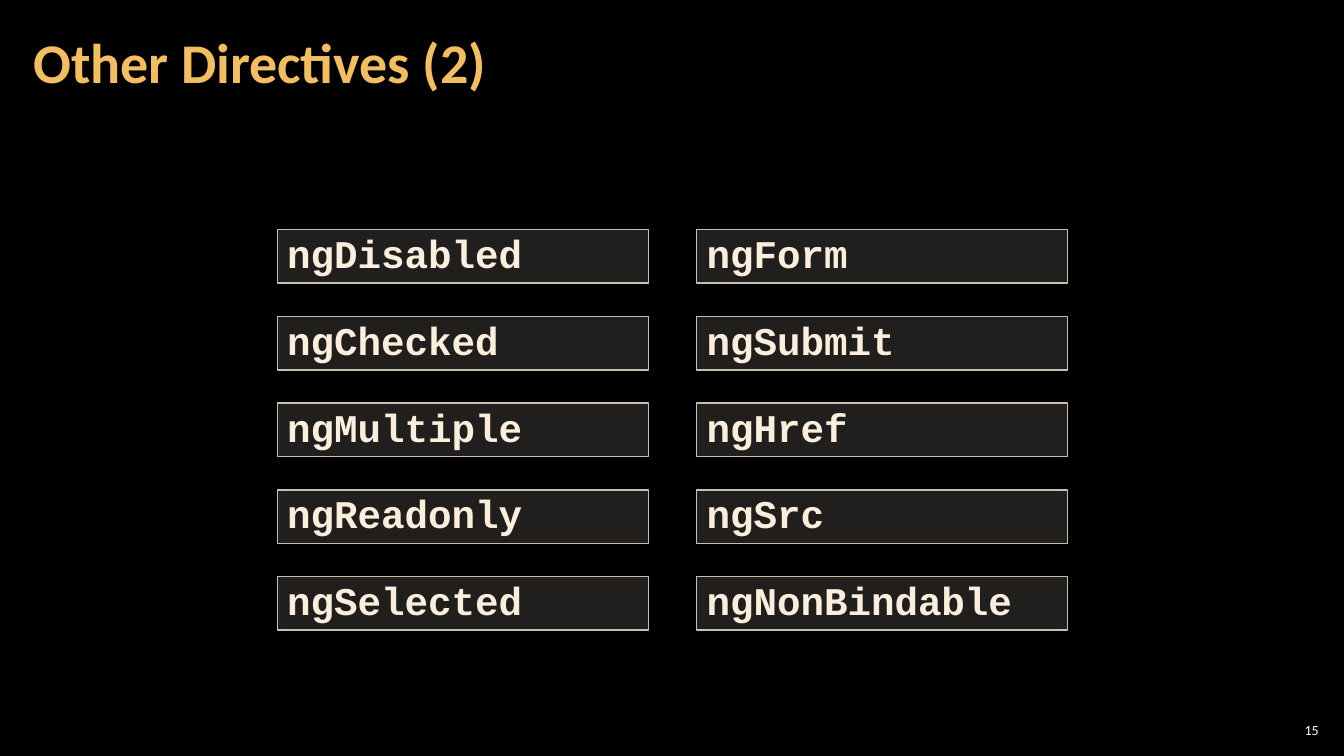
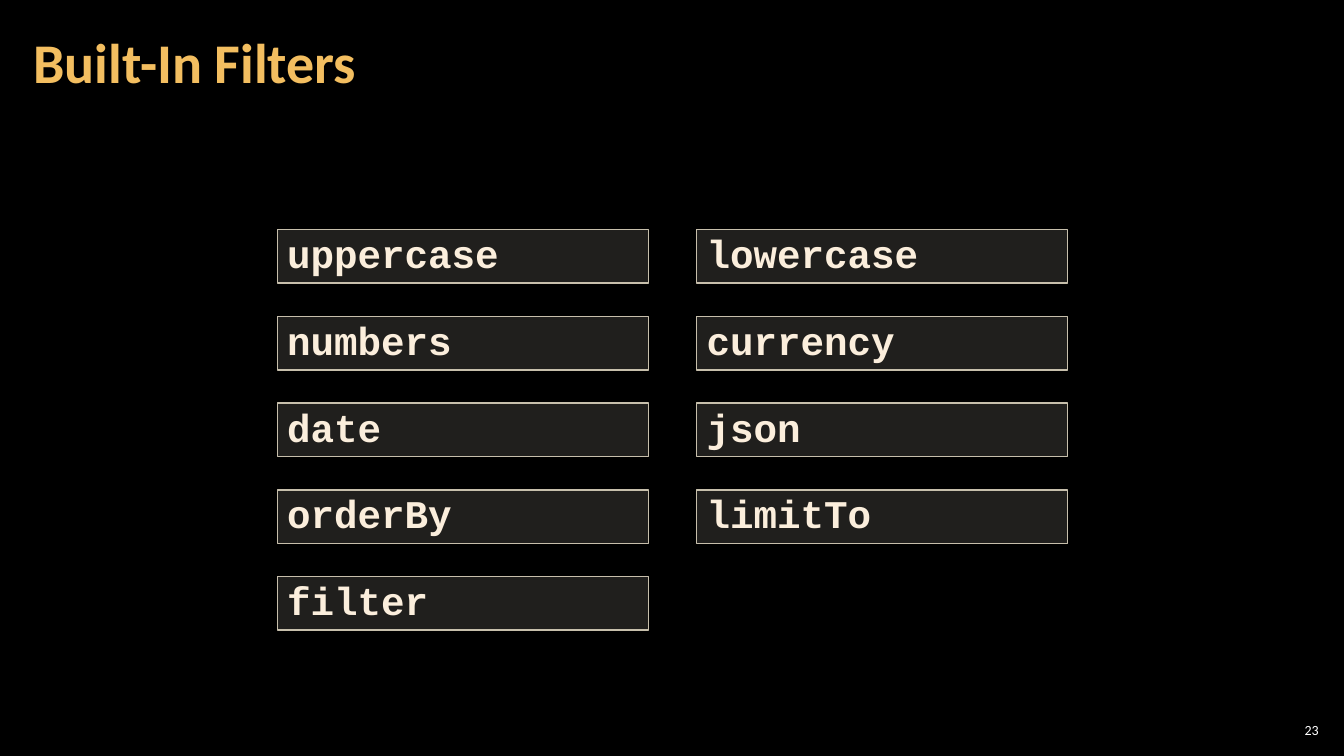
from dataclasses import dataclass

from lxml.etree import SubElement
from pptx import Presentation
from pptx.dml.color import RGBColor
from pptx.enum.shapes import MSO_SHAPE
from pptx.enum.text import MSO_ANCHOR, MSO_AUTO_SIZE, PP_ALIGN
from pptx.oxml.ns import qn
from pptx.util import Inches, Pt

COLORS = {
    "background": "000000",
    "title": "F3BE60",
    "page_number": "FFFFFF",
    "box_fill": "D9D5C7",
    "box_line": "C7BFAC",
    "box_text": "FBEEDC",
}
BOX_OPACITY = 15
BOX_WIDTH, BOX_HEIGHT = 3.68, 0.53
GRID_LEFT, GRID_TOP = 2.75, 2.28
COLUMN_PITCH, ROW_PITCH = 4.16, 0.86


@dataclass(frozen=True)
class KeywordSlide:
    title: str
    page_number: int
    columns: tuple[tuple[str, ...], ...]


SLIDES = (
    KeywordSlide(
        "Other Directives (2)",
        15,
        (
            ("ngDisabled", "ngChecked", "ngMultiple", "ngReadonly", "ngSelected"),
            ("ngForm", "ngSubmit", "ngHref", "ngSrc", "ngNonBindable"),
        ),
    ),
    KeywordSlide(
        "Built-In Filters",
        23,
        (
            ("uppercase", "numbers", "date", "orderBy", "filter"),
            ("lowercase", "currency", "json", "limitTo"),
        ),
    ),
)


def rgb(name: str) -> RGBColor:
    return RGBColor.from_string(COLORS[name])


def write_text(
    shape,
    text: str,
    *,
    size: float,
    color: str,
    font: str = "Calibri",
    bold: bool = False,
    align=PP_ALIGN.LEFT,
    anchor=MSO_ANCHOR.MIDDLE,
    side_inset: float = 0.1,
    end_inset: float = 0.05,
    line_spacing: float = 1.0,
    space_before: float = 0,
    auto_size=MSO_AUTO_SIZE.NONE,
) -> None:
    frame = shape.text_frame
    frame.word_wrap = True
    frame.auto_size = auto_size
    frame.vertical_anchor = anchor
    frame.margin_left = frame.margin_right = Inches(side_inset)
    frame.margin_top = frame.margin_bottom = Inches(end_inset)
    paragraph = frame.paragraphs[0]
    paragraph.alignment = align
    paragraph.line_spacing = line_spacing
    paragraph.space_before = Pt(space_before)
    run = paragraph.add_run()
    run.text = text
    run.font.name = font
    run.font.size = Pt(size)
    run.font.bold = bold
    run.font.color.rgb = rgb(color)


def add_title(slide, text: str) -> None:
    title = slide.shapes.title
    title.left, title.top = Inches(0.21), Inches(0.04)
    title.width, title.height = Inches(10.47), Inches(1.21)
    write_text(title, text, size=40, color="title", bold=True,
               side_inset=0.12, end_inset=0.04, line_spacing=0.9)


def add_page_number(slide, number: int) -> None:
    box = slide.shapes.add_textbox(
        Inches(12.65), Inches(7.14), Inches(0.47), Inches(0.21))
    write_text(box, str(number), size=10, color="page_number",
               align=PP_ALIGN.RIGHT, side_inset=0.04, end_inset=0.04)


def add_keyword_box(slide, text: str, left: float, top: float) -> None:
    box = slide.shapes.add_shape(
        MSO_SHAPE.RECTANGLE,
        Inches(left), Inches(top), Inches(BOX_WIDTH), Inches(BOX_HEIGHT))
    box.shadow.inherit = False
    box.fill.solid()
    box.fill.fore_color.rgb = rgb("box_fill")
    fill_color = box.fill._xPr.find(qn("a:solidFill"))[0]
    SubElement(fill_color, qn("a:alpha")).set("val", str(BOX_OPACITY * 1000))
    box.line.color.rgb = rgb("box_line")
    box.line.width = Pt(1)
    write_text(box, text, size=28, color="box_text", font="Courier New",
               bold=True, anchor=MSO_ANCHOR.TOP, line_spacing=0.9,
               space_before=12, auto_size=MSO_AUTO_SIZE.SHAPE_TO_FIT_TEXT)


def add_keyword_slide(presentation, content: KeywordSlide) -> None:
    slide = presentation.slides.add_slide(
        presentation.slide_layouts.get_by_name("Title Only"))
    add_page_number(slide, content.page_number)
    add_title(slide, content.title)
    for column, keywords in enumerate(content.columns):
        for row, keyword in enumerate(keywords):
            add_keyword_box(slide, keyword,
                            GRID_LEFT + column * COLUMN_PITCH,
                            GRID_TOP + row * ROW_PITCH)


def main() -> None:
    presentation = Presentation()
    presentation.slide_width = Inches(13.33)
    presentation.slide_height = Inches(7.5)
    background = presentation.slide_master.background.fill
    background.solid()
    background.fore_color.rgb = rgb("background")
    for content in SLIDES:
        add_keyword_slide(presentation, content)
    presentation.save("out.pptx")


if __name__ == "__main__":
    main()
